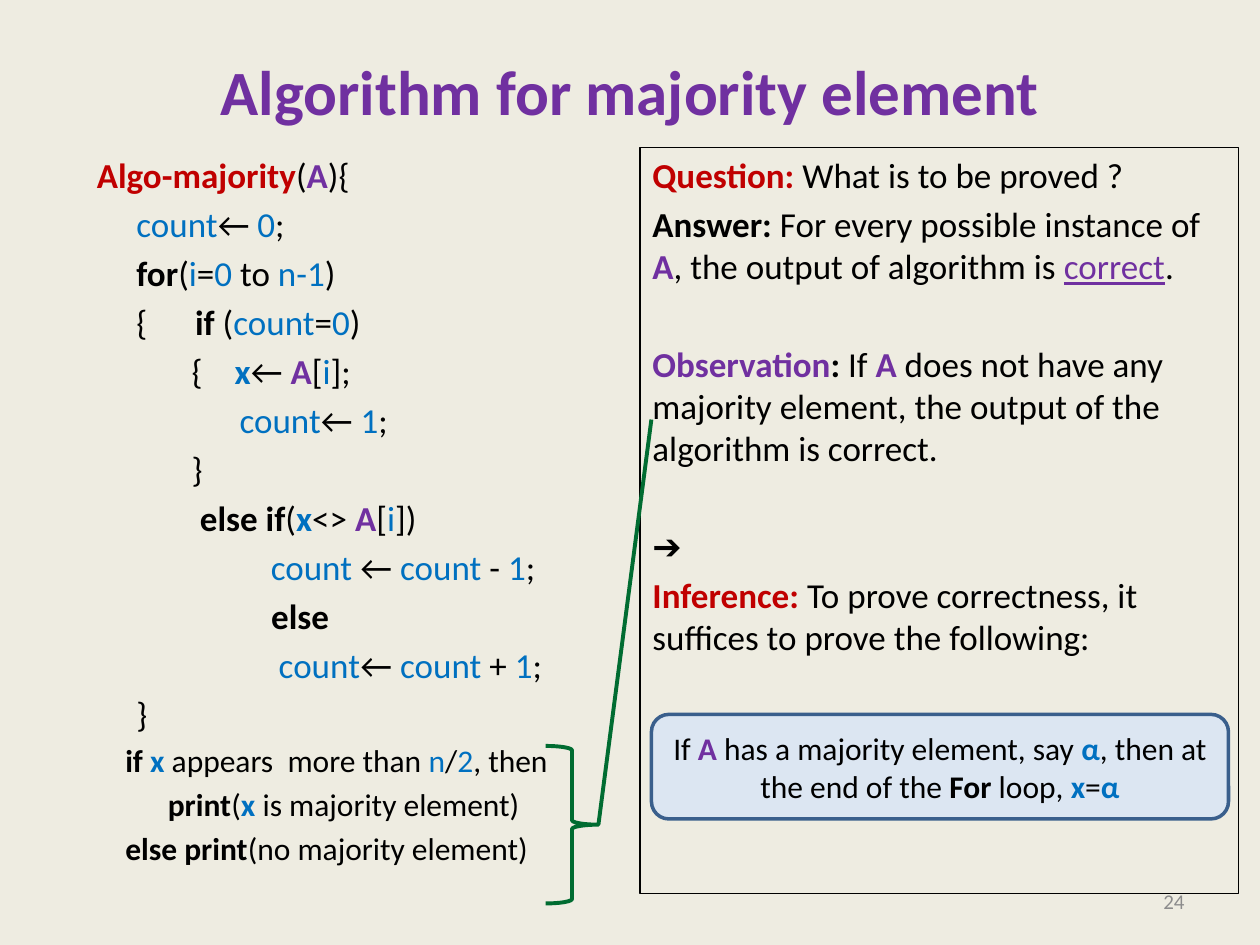
from pptx import Presentation
from pptx.dml.color import RGBColor
from pptx.enum.shapes import MSO_CONNECTOR as Link, MSO_SHAPE as Kind
from pptx.enum.text import MSO_ANCHOR as Anchor, PP_ALIGN as Align
from pptx.util import Inches, Pt
from lxml.etree import SubElement
from pptx.oxml.ns import qn

BLACK = RGBColor(0x00, 0x00, 0x00)
RED = RGBColor(0xC0, 0x00, 0x00)
PURPLE = RGBColor(0x70, 0x30, 0xA0)
BLUE = RGBColor(0x00, 0x70, 0xC0)
GREEN = RGBColor(0x00, 0x6C, 0x31)
GREY = RGBColor(0x8C, 0x8C, 0x8C)
CREAM = RGBColor(0xEE, 0xEC, 0xE1)
PALE = RGBColor(0xDC, 0xE6, 0xF2)
NAVY = RGBColor(0x3A, 0x5F, 0x8C)

STYLES = {
    "N": (BLACK, False, False),
    "K": (BLACK, True, False),
    "R": (RED, True, False),
    "P": (PURPLE, True, False),
    "B": (BLUE, False, False),
    "X": (BLUE, True, False),
    "U": (PURPLE, False, True),
    "G": (GREY, False, False),
}


def write(frame, text, size=20, gap=0, align=Align.LEFT):
    para = frame.paragraphs[0]
    if para.runs:
        para = frame.add_paragraph()
    para.alignment = align
    para.space_before = Pt(gap)
    for part in text.split("|"):
        style, words = part.split(":", 1)
        run = para.add_run()
        run.text = words
        font = run.font
        font.name = "Calibri"
        font.size = Pt(size)
        font.color.rgb, font.bold, font.underline = STYLES[style]


def place(left, top, width, height, kind=None, anchor=Anchor.TOP):
    area = [Inches(n) for n in (left, top, width, height)]
    if kind is None:
        shape = slide.shapes.add_textbox(*area)
    else:
        shape = slide.shapes.add_shape(kind, *area)
        shape.shadow.inherit = False
        shape.fill.background()
    shape.text_frame.word_wrap = True
    shape.text_frame.vertical_anchor = anchor
    return shape


deck = Presentation()
deck.slide_width, deck.slide_height = Inches(10), Inches(7.5)
slide = deck.slides.add_slide(deck.slide_layouts[6])
slide.background.fill.solid()
slide.background.fill.fore_color.rgb = CREAM

title = place(0.5, 0.3, 9, 1.25, anchor=Anchor.MIDDLE).text_frame
title.margin_bottom = Inches(0.46)
write(title, "P:Algorithm for majority element", size=36, align=Align.CENTER)

code = place(0.67, 1.17, 4.42, 6).text_frame
lines = [
    "R:Algo-majority|N:(|P:A|N:){",
    "B:     count|N:← |B:0|N:;",
    "N:     |K:for|N:(|B:i|N:=|B:0|N: to |B:n-1|N:)",
    "N:     {     |K: if |N:(|B:count|N:=|B:0|N:)",
    "N:            {    |X:x|N:← |P:A|N:[|B:i|N:];",
    "N:                  |B:count|N:← |B:1|N:;",
    "N:            }",
    "N:             |K:else if|N:(|X:x|N:<> |P:A|N:[|B:i|N:])",
    "B:                      count|N: ← |B:count|N: - |B:1|N:;",
    "N:                      |K:else",
    "B:                       count|N:← |B:count|N: + |B:1|N:;",
    "N:     }",
]
for i, line in enumerate(lines):
    write(code, line, gap=4 if i else 0)
ending = [
    "N:    |K:if |X:x|N: appears  more than |B:n|N:/|B:2|N:, then",
    "K:          print|N:(|X:x|N: is majority element)",
    "N:    |K:else print|N:(no majority element)",
]
for line in ending:
    write(code, line, size=18, gap=3.6)

proof = place(5.08, 1.17, 4.75, 5.92, Kind.RECTANGLE)
proof.line.color.rgb = BLACK
proof.line.width = Pt(0.75)
points = [
    ("R:Question: |N:What is to be proved ?", 0),
    ("K:Answer:|N: For every possible instance of |P:A"
     "|N:, the output of algorithm is |U:correct|N:.", 4),
    ("P:Observation|K::|N: If |P:A|N: does not have any majority element, "
     "the output of the algorithm is correct.", 32),
    ("N:➔", 32),
    ("R:Inference: |N:To prove correctness, it suffices to prove "
     "the following:", 4),
]
for text, gap in points:
    write(proof.text_frame, text, gap=gap)

number = place(7.17, 6.95, 2.33, 0.4, anchor=Anchor.MIDDLE).text_frame
write(number, "G:24", size=12, align=Align.RIGHT)

brace = place(4.33, 5.92, 0.42, 1.25, Kind.RIGHT_BRACE)
brace.line.color.rgb = GREEN
brace.line.width = Pt(2.25)

claim = place(5.17, 5.67, 4.58, 0.83, Kind.ROUNDED_RECTANGLE, Anchor.MIDDLE)
claim.fill.solid()
claim.fill.fore_color.rgb = PALE
claim.line.color.rgb = NAVY
claim.line.width = Pt(2)
write(claim.text_frame,
      "N:If |P:A |N:has a majority element, say |X:α|N:, then at the end "
      "of the |K:For|N: loop, |X:x|N:=|X:α", size=18, align=Align.CENTER)

link = slide.shapes.add_connector(
    Link.STRAIGHT, Inches(4.75), Inches(6.54), Inches(5.17), Inches(3.33))
link.line.color.rgb = GREEN
link.line.width = Pt(2.25)
SubElement(link._element.spPr, qn("a:effectLst"))

deck.save("out.pptx")
